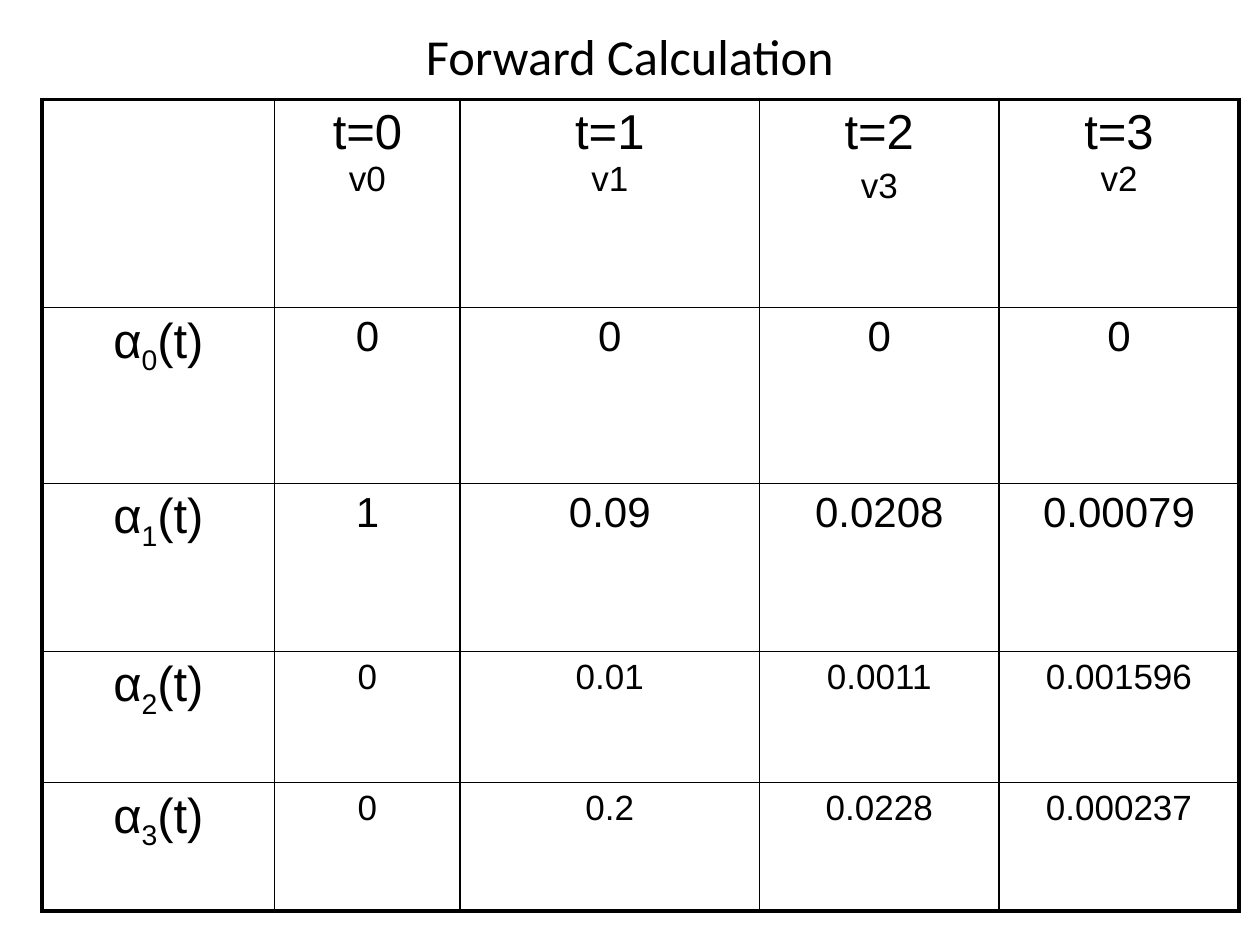
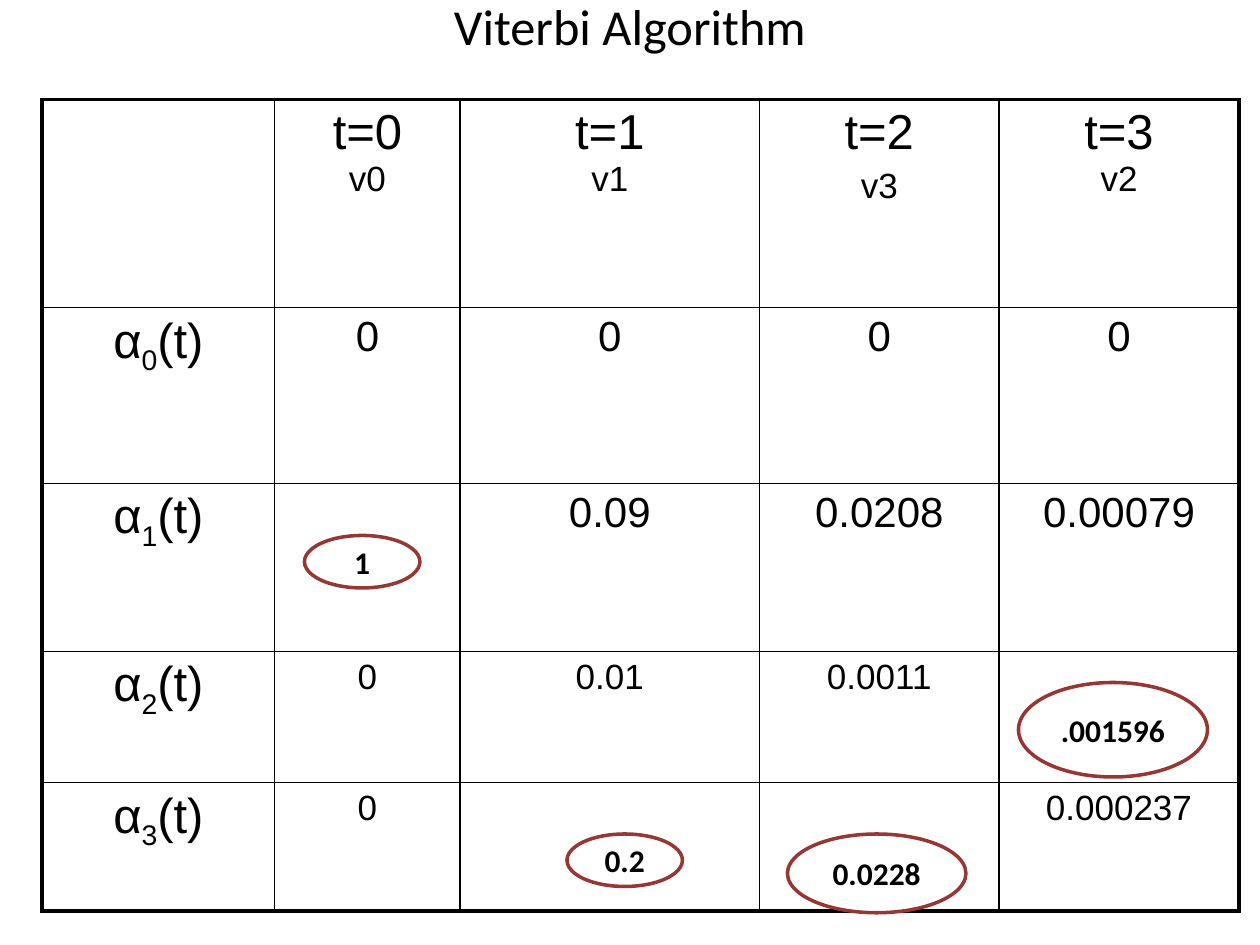
"""Build the forward calculation and Viterbi trellis tables as two slides."""
from lxml import etree
from pptx import Presentation
from pptx.dml.color import RGBColor
from pptx.enum.shapes import MSO_SHAPE
from pptx.enum.text import MSO_ANCHOR, MSO_AUTO_SIZE, PP_ALIGN
from pptx.oxml.ns import qn
from pptx.util import Pt

CENTER = PP_ALIGN.CENTER
MIDDLE = MSO_ANCHOR.MIDDLE
NO_AUTOFIT = MSO_AUTO_SIZE.NONE
ELLIPSE = MSO_SHAPE.OVAL

COLORS = {"ink": "000000", "paper": "FFFFFF", "ring": "953735"}
TITLE_FONT, TABLE_FONT = "Calibri", "Arial"
TITLE_ONLY = 5
TABLE_LEFT, TABLE_TOP = 24, 56.7
COLUMN_WIDTHS = [133, 106, 171, 137, 137]
ROW_HEIGHTS = [119, 100.5, 96, 75, 73.5]
VALUE_SIZES = [24, 24, 20, 20]
OUTER_LINE, INNER_LINE = 2.25, 1

OBSERVATIONS = ["v0", "v1", "v3", "v2"]
ALPHAS = [
    ["0", "0", "0", "0"],
    ["1", "0.09", "0.0208", "0.00079"],
    ["0", "0.01", "0.0011", "0.001596"],
    ["0", "0.2", "0.0228", "0.000237"],
]
BEST_PATH = {
    (3, 1): ("0.2", 324, 476.6, 66, 30),
    (3, 2): ("0.0228", 450, 476.6, 102, 45),
    (2, 3): (".001596", 582, 390, 108, 54),
    (1, 0): ("1", 174, 306, 66, 30),
}


def color(name):
    return RGBColor.from_string(COLORS[name])


def write(para, text, *, size, font=TABLE_FONT, bold=False, baseline=0):
    para.alignment = CENTER
    span = para.add_run()
    span.text = text
    span.font.name = font
    span.font.size = Pt(size)
    span.font.bold = bold
    span.font.color.rgb = color("ink")
    if baseline:
        span._r.get_or_add_rPr().set("baseline", str(baseline * 1000))


def add_title(page, text, top):
    box = page.shapes.title
    box.left, box.top, box.width, box.height = Pt(36), Pt(top), Pt(648), Pt(20)
    frame = box.text_frame
    frame.auto_size = NO_AUTOFIT
    frame.vertical_anchor = MIDDLE
    write(frame.paragraphs[0], text, size=28.8, font=TITLE_FONT)


def add_border(cell, side, width):
    properties = cell._tc.get_or_add_tcPr()
    line = etree.SubElement(properties, qn(f"a:ln{side}"), w=str(Pt(width)))
    fill = etree.SubElement(line, qn("a:solidFill"))
    etree.SubElement(fill, qn("a:srgbClr"), val=COLORS["ink"])


def frame_cell(cell, row, column):
    last_row, last_column = len(ROW_HEIGHTS) - 1, len(COLUMN_WIDTHS) - 1
    on_edge = {"L": column == 0, "R": column == last_column,
               "T": row == 0, "B": row == last_row}
    for side, outer in on_edge.items():
        add_border(cell, side, OUTER_LINE if outer else INNER_LINE)
    cell.fill.background()


def write_time(cell, time, observation):
    para = cell.text_frame.paragraphs[0]
    write(para, f"t={time}", size=28)
    if time == 2:
        para = cell.text_frame.add_paragraph()
        para.space_before = Pt(4)
    else:
        para.add_line_break()
    write(para, observation, size=20)


def write_state(cell, state):
    para = cell.text_frame.paragraphs[0]
    write(para, "α", size=28)
    write(para, str(state), size=28, baseline=-25)
    write(para, "(t)", size=28)


def add_trellis(page, hidden=()):
    holder = page.shapes.add_table(
        len(ROW_HEIGHTS), len(COLUMN_WIDTHS), Pt(TABLE_LEFT), Pt(TABLE_TOP),
        Pt(sum(COLUMN_WIDTHS)), Pt(sum(ROW_HEIGHTS)))
    table = holder.table
    table.first_row = table.horz_banding = False
    for column, width in zip(table.columns, COLUMN_WIDTHS):
        column.width = Pt(width)
    for row, height in zip(table.rows, ROW_HEIGHTS):
        row.height = Pt(height)
    for row in range(len(ROW_HEIGHTS)):
        for column in range(len(COLUMN_WIDTHS)):
            frame_cell(table.cell(row, column), row, column)
    for time, observation in enumerate(OBSERVATIONS):
        write_time(table.cell(0, time + 1), time, observation)
    for state, values in enumerate(ALPHAS):
        write_state(table.cell(state + 1, 0), state)
        for time, value in enumerate(values):
            if (state, time) not in hidden:
                para = table.cell(state + 1, time + 1).text_frame.paragraphs[0]
                write(para, value, size=VALUE_SIZES[state])


def add_ring(page, text, left, top, width, height):
    ring = page.shapes.add_shape(ELLIPSE, Pt(left), Pt(top), Pt(width), Pt(height))
    ring.shadow.inherit = False
    ring.fill.solid()
    ring.fill.fore_color.rgb = color("paper")
    ring.line.color.rgb = color("ring")
    ring.line.width = Pt(2)
    frame = ring.text_frame
    frame.vertical_anchor = MIDDLE
    frame.margin_left = frame.margin_right = 0
    frame.margin_top = frame.margin_bottom = 0
    write(frame.paragraphs[0], text, size=18, font=TITLE_FONT, bold=True)


def add_page(deck, title, title_top, path=None):
    path = path or {}
    page = deck.slides.add_slide(deck.slide_layouts[TITLE_ONLY])
    add_title(page, title, title_top)
    add_trellis(page, hidden=path)
    for ring in path.values():
        add_ring(page, *ring)


def main():
    deck = Presentation()
    deck.slide_width, deck.slide_height = Pt(720), Pt(540)
    add_page(deck, "Forward Calculation", 21.6)
    add_page(deck, "Viterbi Algorithm", 4.5, BEST_PATH)
    deck.save("out.pptx")


if __name__ == "__main__":
    main()
